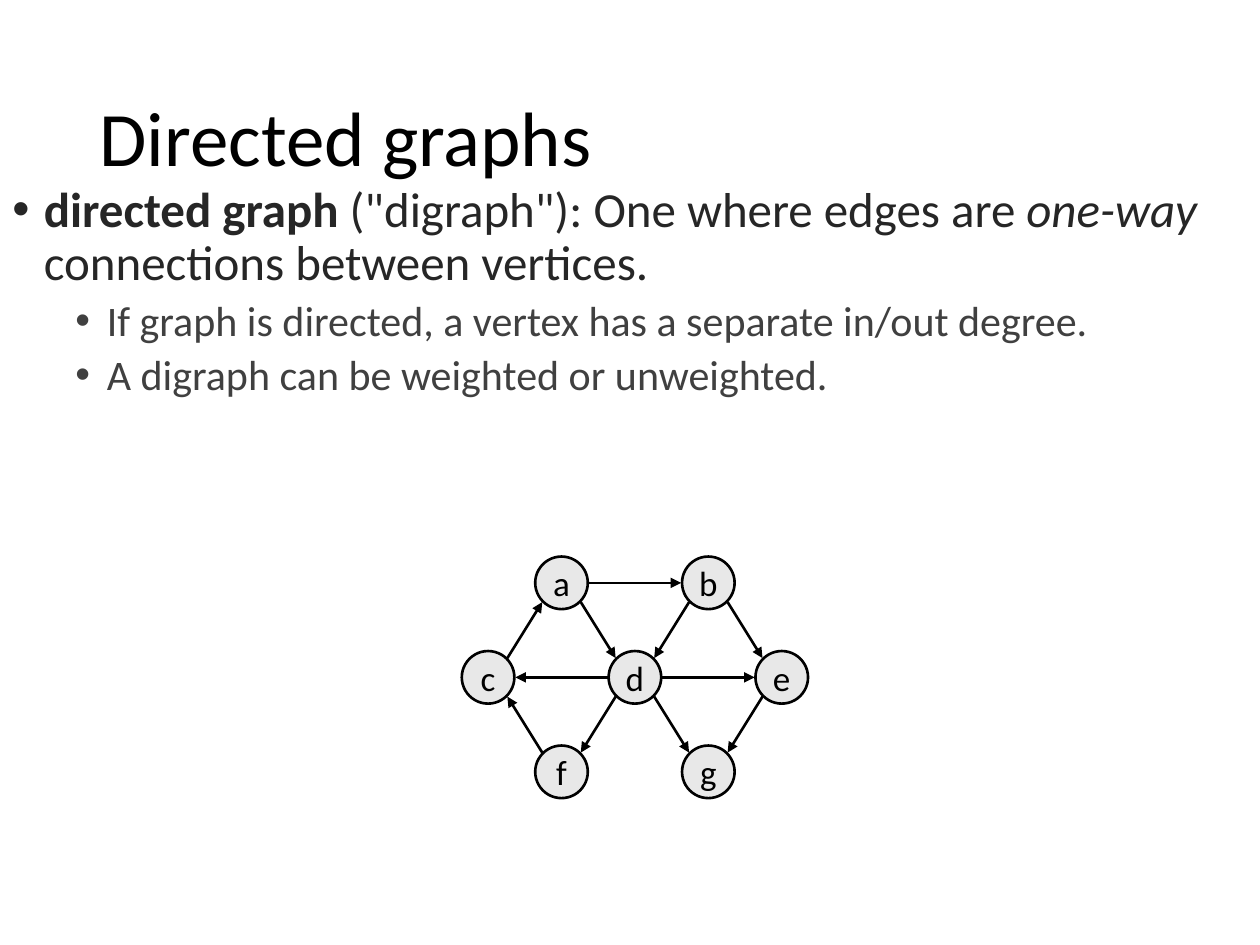
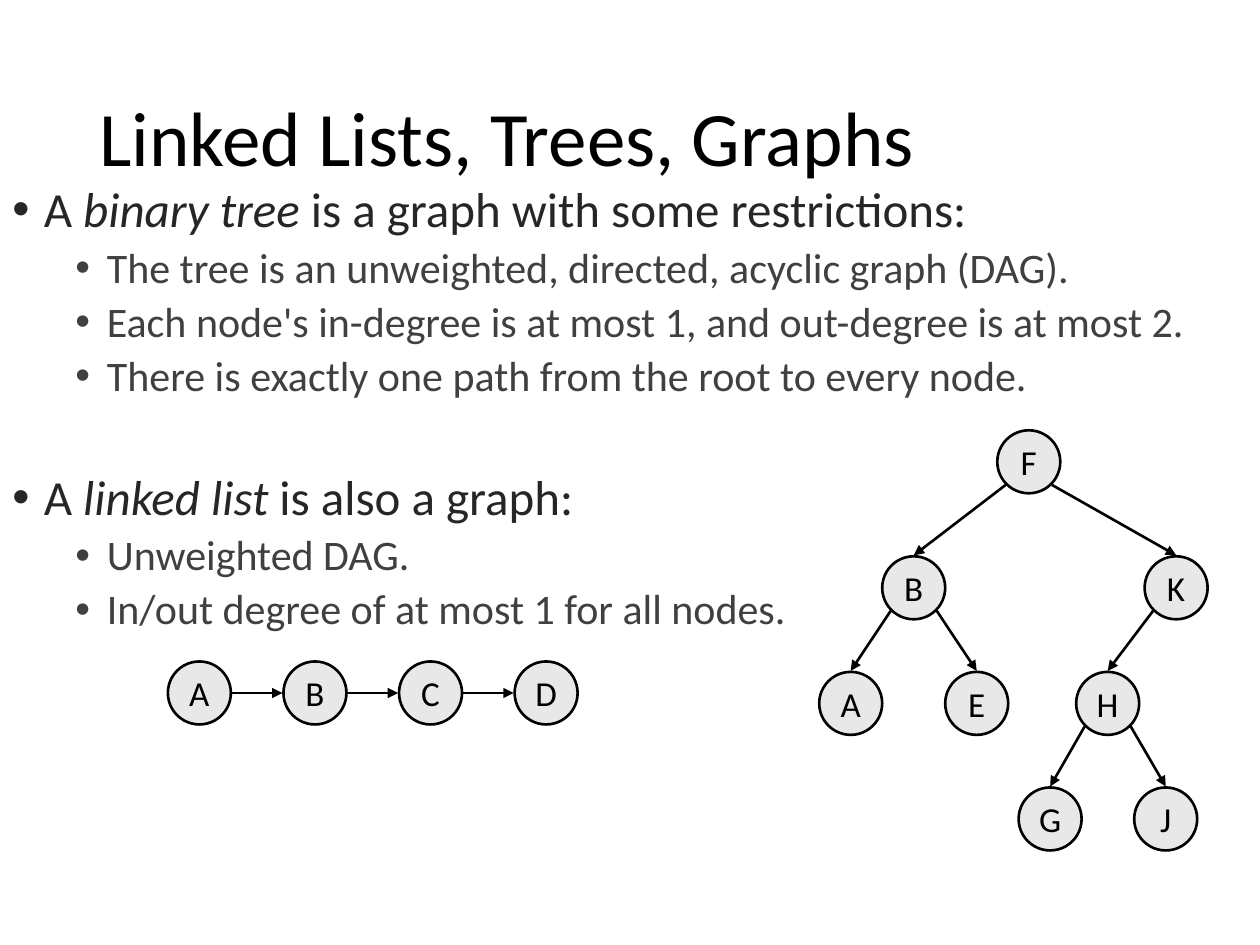
from math import hypot

from lxml import etree
from pptx import Presentation
from pptx.dml.color import RGBColor
from pptx.enum.shapes import MSO_CONNECTOR, MSO_SHAPE
from pptx.enum.text import MSO_ANCHOR, MSO_AUTO_SIZE, PP_ALIGN
from pptx.oxml.ns import qn
from pptx.util import Cm, Pt

STRAIGHT = MSO_CONNECTOR.STRAIGHT
ELLIPSE = MSO_SHAPE.OVAL
MIDDLE = MSO_ANCHOR.MIDDLE
NO_AUTOFIT = MSO_AUTO_SIZE.NONE
LEFT, CENTER = PP_ALIGN.LEFT, PP_ALIGN.CENTER

FONT = "Calibri"
COLORS = {"ink": "000000", "heading": "262626", "detail": "404040", "node": "E8E8E8"}
TITLE_SIZE, NODE_SIZE, OUTLINE = 44, 20, 1.5
TITLE_BOX = (1.75, 1.01, 21.9, 3.68)
BODY_BOX = (0, 3.61, 25.4, 15.44)
HANGING = 0.635
LINE_SPACING = 0.9
TITLE_ONLY = 5

# Bullet styles by level: size, colour, left margin in cm, space before in points
LEVELS = [(28, "heading", 0.635, 10), (24, "detail", 1.905, 5)]
SECTION_GAP = 41.4

GRAPH_X, GRAPH_Y = 9.84, 11.75
GRAPH_STEP_X, GRAPH_STEP_Y = 1.48, 1.905
GRAPH_CELLS = {"a": (1, 0), "b": (3, 0), "c": (0, 1), "d": (2, 1),
               "e": (4, 1), "f": (1, 2), "g": (3, 2)}
LIST_X, LIST_Y, LIST_STEP = 4.02, 13.97, 2.33
TREE_ROWS = [
    (9.31, {"F": 20.74}),
    (11.85, {"B": 18.42, "K": 23.71}),
    (14.18, {"A": 17.15, "E": 19.69, "H": 22.33}),
    (16.51, {"G": 21.17, "J": 23.5}),
]

DIRECTED_GRAPH = {
    "diameter": 1.06,
    "centers": {name: (GRAPH_X + column * GRAPH_STEP_X, GRAPH_Y + row * GRAPH_STEP_Y)
                for name, (column, row) in GRAPH_CELLS.items()},
    "edges": ["ab", "ad", "bd", "be", "ca", "dc", "de", "df", "dg", "eg", "fc"],
}
BINARY_TREE = {
    "diameter": 1.27,
    "centers": {name: (x, y) for y, row in TREE_ROWS for name, x in row.items()},
    "edges": ["FB", "FK", "BA", "BE", "KH", "HG", "HJ"],
    "enter_at_top": True,
}
LINKED_LIST = {
    "diameter": 1.27,
    "centers": {name: (LIST_X + index * LIST_STEP, LIST_Y)
                for index, name in enumerate("ABCD")},
    "edges": ["AB", "BC", "CD"],
}

# Bullets: level, runs of (text, emphasis)
SLIDES = [
    {
        "title": "Directed graphs",
        "bullets": [
            (0, [("directed graph ", "bold"),
                 ("(\"digraph\"): One where edges are ", None),
                 ("one-way", "italic"),
                 (" connections between vertices.", None)]),
            (1, [("If graph is directed, a vertex has a separate in/out degree.", None)]),
            (1, [("A digraph can be weighted or unweighted.", None)]),
        ],
        "diagrams": [DIRECTED_GRAPH],
    },
    {
        "title": "Linked Lists, Trees, Graphs",
        "bullets": [
            (0, [("A ", None), ("binary tree", "italic"),
                 (" is a graph with some restrictions:", None)]),
            (1, [("The tree is an unweighted, directed, acyclic graph (DAG).", None)]),
            (1, [("Each node's in-degree is at most 1, and out-degree is at most 2.", None)]),
            (1, [("There is exactly one path from the root to every node.", None)]),
            (0, [("A ", None), ("linked list", "italic"), (" is also a graph:", None)]),
            (1, [("Unweighted DAG.", None)]),
            (1, [("In/out degree of at most 1 for all nodes.", None)]),
        ],
        "diagrams": [BINARY_TREE, LINKED_LIST],
    },
]


def color(name):
    return RGBColor.from_string(COLORS[name])


def add_run(paragraph, text, size, color_name, emphasis=None):
    run = paragraph.add_run()
    run.text = text
    run.font.name = FONT
    run.font.size = Pt(size)
    run.font.color.rgb = color(color_name)
    run.font.bold = emphasis == "bold"
    run.font.italic = emphasis == "italic"


def set_title(slide, text):
    title = slide.shapes.title
    title.left, title.top, title.width, title.height = map(Cm, TITLE_BOX)
    frame = title.text_frame
    frame.auto_size = NO_AUTOFIT
    frame.vertical_anchor = MIDDLE
    paragraph = frame.paragraphs[0]
    paragraph.alignment = LEFT
    paragraph.line_spacing = LINE_SPACING
    add_run(paragraph, text, TITLE_SIZE, "ink")


def add_bullets(slide, bullets):
    frame = slide.shapes.add_textbox(*map(Cm, BODY_BOX)).text_frame
    frame.word_wrap = True
    for index, (level, runs) in enumerate(bullets):
        size, color_name, margin, space_before = LEVELS[level]
        paragraph = frame.add_paragraph() if index else frame.paragraphs[0]
        paragraph.level = level
        paragraph.line_spacing = LINE_SPACING
        starts_section = index and level == 0
        paragraph.space_before = Pt(SECTION_GAP if starts_section else space_before)
        properties = paragraph._p.get_or_add_pPr()
        properties.set("marL", str(Cm(margin)))
        properties.set("indent", str(-Cm(HANGING)))
        etree.SubElement(properties, qn("a:buFont"), typeface="Arial")
        etree.SubElement(properties, qn("a:buChar"), char="•")
        for text, emphasis in runs:
            add_run(paragraph, text, size, color_name, emphasis)


def add_node(slide, name, center, diameter):
    left, top = (position - diameter / 2 for position in center)
    node = slide.shapes.add_shape(ELLIPSE, Cm(left), Cm(top), Cm(diameter), Cm(diameter))
    node.shadow.inherit = False
    node.fill.solid()
    node.fill.fore_color.rgb = color("node")
    node.line.color.rgb = color("ink")
    node.line.width = Pt(OUTLINE)
    frame = node.text_frame
    frame.word_wrap = False
    frame.vertical_anchor = MIDDLE
    frame.paragraphs[0].alignment = CENTER
    add_run(frame.paragraphs[0], name, NODE_SIZE, "ink")


def rim_point(center, direction, diameter):
    """Return the point just outside a node's rim in the given direction."""
    reach = (diameter / 2 + 0.02) / hypot(*direction)
    return [Cm(position + reach * part) for position, part in zip(center, direction)]


def add_edge(slide, source, target, diameter, enter_at_top):
    """Draw an arrow that leaves and enters nodes at a multiple of 45 degrees."""
    leaving = [(end > start) - (end < start) for start, end in zip(source, target)]
    entering = (0, -1) if enter_at_top else [-part for part in leaving]
    edge = slide.shapes.add_connector(STRAIGHT, *rim_point(source, leaving, diameter),
                                      *rim_point(target, entering, diameter))
    edge.line.color.rgb = color("ink")
    edge.line.width = Pt(OUTLINE)
    etree.SubElement(edge.line._get_or_add_ln(), qn("a:tailEnd"), type="triangle")
    etree.SubElement(edge._element.spPr, qn("a:effectLst"))


def add_diagram(slide, diagram):
    centers, diameter = diagram["centers"], diagram["diameter"]
    for name, center in centers.items():
        add_node(slide, name, center, diameter)
    for source, target in diagram["edges"]:
        add_edge(slide, centers[source], centers[target], diameter,
                 diagram.get("enter_at_top", False))


def main():
    presentation = Presentation()
    presentation.slide_width, presentation.slide_height = Cm(25.4), Cm(19.05)
    for content in SLIDES:
        slide = presentation.slides.add_slide(presentation.slide_layouts[TITLE_ONLY])
        set_title(slide, content["title"])
        add_bullets(slide, content["bullets"])
        for diagram in content["diagrams"]:
            add_diagram(slide, diagram)
    presentation.save("out.pptx")


if __name__ == "__main__":
    main()
